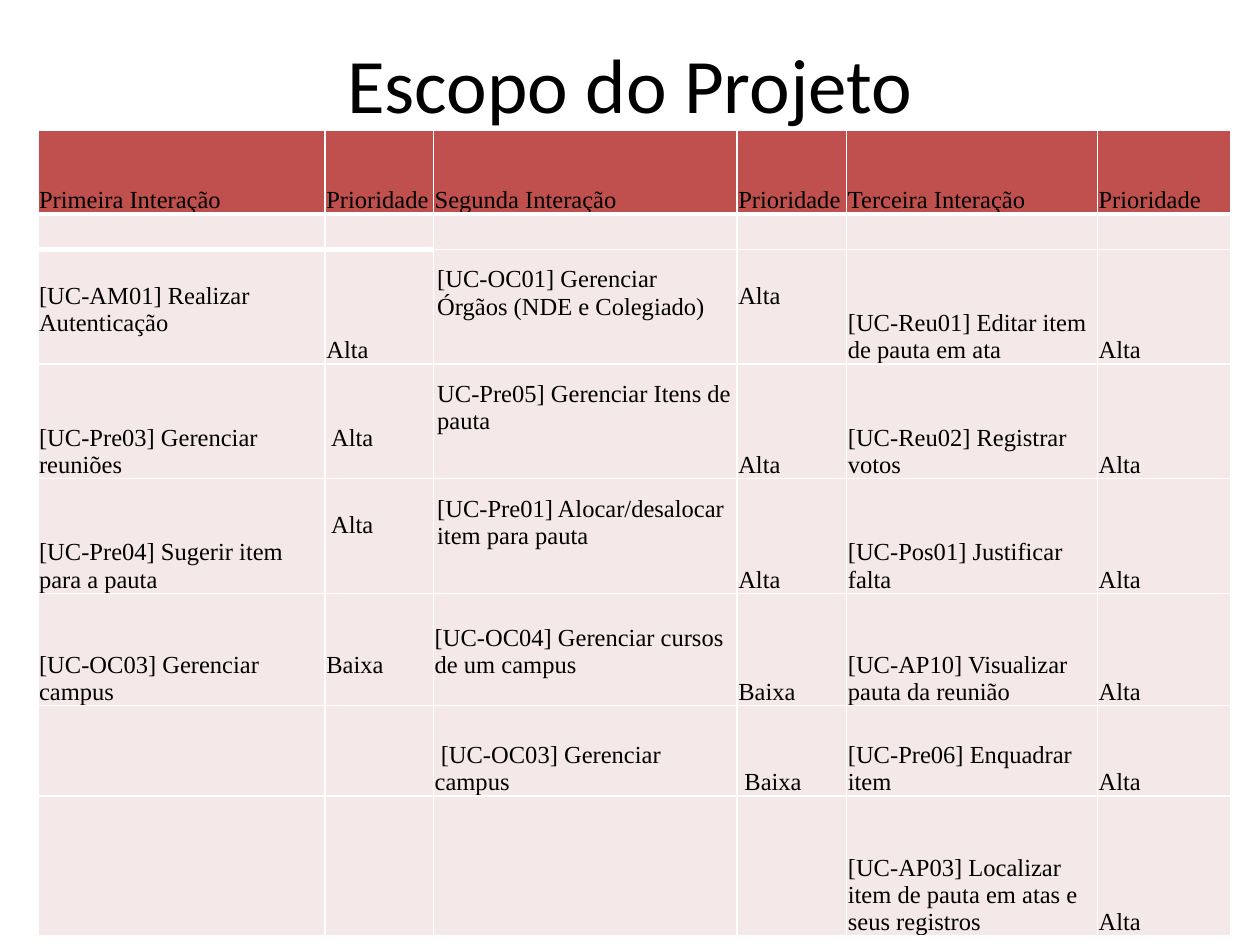
from lxml import etree
from pptx import Presentation
from pptx.dml.color import RGBColor
from pptx.enum import text
from pptx.oxml.ns import qn
from pptx.util import Inches, Pt

BLACK = RGBColor(0, 0, 0)
WHITE = RGBColor(255, 255, 255)
RED = RGBColor(0xC0, 0x50, 0x4D)
PINK = RGBColor(0xF4, 0xE8, 0xE8)

TITLE = "Escopo do Projeto"
ROWS = [
    ("Primeira Interação", "Prioridade", "Segunda Interação", "Prioridade",
     "Terceira Interação", "Prioridade"),
    ("",) * 6,
    ("[UC-AM01] Realizar Autenticação", "Alta",
     "[UC-OC01] Gerenciar Órgãos (NDE e Colegiado)", "Alta",
     "[UC-Reu01] Editar item de pauta em ata", "Alta"),
    ("[UC-Pre03] Gerenciar reuniões", " Alta",
     "UC-Pre05] Gerenciar Itens de pauta", "Alta",
     "[UC-Reu02] Registrar votos", "Alta"),
    ("[UC-Pre04] Sugerir item para a pauta", " Alta",
     "[UC-Pre01] Alocar/desalocar item para pauta", "Alta",
     "[UC-Pos01] Justificar falta", "Alta"),
    ("[UC-OC03] Gerenciar campus", "Baixa",
     "[UC-OC04] Gerenciar cursos de um campus", "Baixa",
     "[UC-AP10] Visualizar pauta da reunião", "Alta"),
    ("", "", " [UC-OC03] Gerenciar campus", " Baixa",
     "[UC-Pre06] Enquadrar item", "Alta"),
    ("", "", "", "", "[UC-AP03] Localizar item de pauta em atas e seus registros", "Alta"),
]
COLUMN_WIDTHS = [2.28, 0.86, 2.41, 0.87, 1.99, 1.06]
ROW_HEIGHTS = [0.67, 0.28, 0.91, 0.91, 0.91, 0.89, 0.72, 1.11]
CENTRED = {(2, 2), (3, 2), (4, 2)}
LINES_RAISED = {(2, 0): 1, (2, 3): 2, (3, 1): 1, (4, 1): 2, (5, 1): 1, (5, 2): 1}
LINE_HEIGHT = 0.215
CELL_SIZE = 14
THICK, THIN = 3, 1


def set_all(target, values):
    for name, value in values.items():
        setattr(target, name, value)


def write(para, words, font_name, size):
    span = para.add_run()
    span.text = words
    set_all(span.font, {"name": font_name, "size": Pt(size)})
    span.font.color.rgb = BLACK


def add_borders(cell, widths):
    """Draw white borders; widths maps a side (L, R, T, B) to points."""
    properties = cell._tc.get_or_add_tcPr()
    for index, (side, width) in enumerate(widths.items()):
        line = etree.Element(qn(f"a:ln{side}"), w=str(Pt(width)))
        fill = etree.SubElement(line, qn("a:solidFill"))
        etree.SubElement(fill, qn("a:srgbClr"), val=str(WHITE))
        properties.insert(index, line)


def bottom_width(row, column):
    return THICK if row == 0 or (row == 1 and column < 2) else THIN


def format_cell(cell, row, column, words):
    centred = (row, column) in CENTRED
    side = 0.03 if centred else 0.01
    lift = LINE_HEIGHT * LINES_RAISED.get((row, column), 0)
    set_all(cell, {
        "margin_left": Inches(side),
        "margin_right": Inches(side),
        "margin_top": Inches(0.1 if centred else 0.01),
        "margin_bottom": Inches(0.1 + LINE_HEIGHT if centred else lift),
        "vertical_anchor": text.MSO_ANCHOR.MIDDLE if centred else text.MSO_ANCHOR.BOTTOM,
    })
    cell.fill.solid()
    cell.fill.fore_color.rgb = PINK if row else RED
    para = cell.text_frame.paragraphs[0]
    if words:
        write(para, words, "Times New Roman", CELL_SIZE)
    else:
        etree.SubElement(para._p, qn("a:endParaRPr"), sz=str(CELL_SIZE * 100))
    top = bottom_width(row - 1, column) if row else THIN
    add_borders(cell, {"L": THIN, "R": THIN, "T": top, "B": bottom_width(row, column)})


def add_title(page):
    box = page.shapes.add_textbox(Inches(0.5), Inches(0.3), Inches(9), Inches(0.72))
    frame = box.text_frame
    set_all(frame, {"word_wrap": True, "vertical_anchor": text.MSO_ANCHOR.MIDDLE})
    frame.paragraphs[0].alignment = text.PP_ALIGN.CENTER
    write(frame.paragraphs[0], TITLE, "Calibri", 44)


def add_scope_table(page):
    table = page.shapes.add_table(
        len(ROWS), len(COLUMN_WIDTHS), Inches(0.3), Inches(1.03),
        Inches(sum(COLUMN_WIDTHS)), Inches(sum(ROW_HEIGHTS))).table
    set_all(table, {"first_row": False, "horz_banding": False})
    for column, width in zip(table.columns, COLUMN_WIDTHS):
        column.width = Inches(width)
    for row, height in zip(table.rows, ROW_HEIGHTS):
        row.height = Inches(height)
    for row, entries in enumerate(ROWS):
        for column, words in enumerate(entries):
            format_cell(table.cell(row, column), row, column, words)


def main():
    deck = Presentation()
    set_all(deck, {"slide_width": Inches(10), "slide_height": Inches(7.5)})
    page = deck.slides.add_slide(deck.slide_layouts[6])
    add_title(page)
    add_scope_table(page)
    deck.save("out.pptx")


if __name__ == "__main__":
    main()
